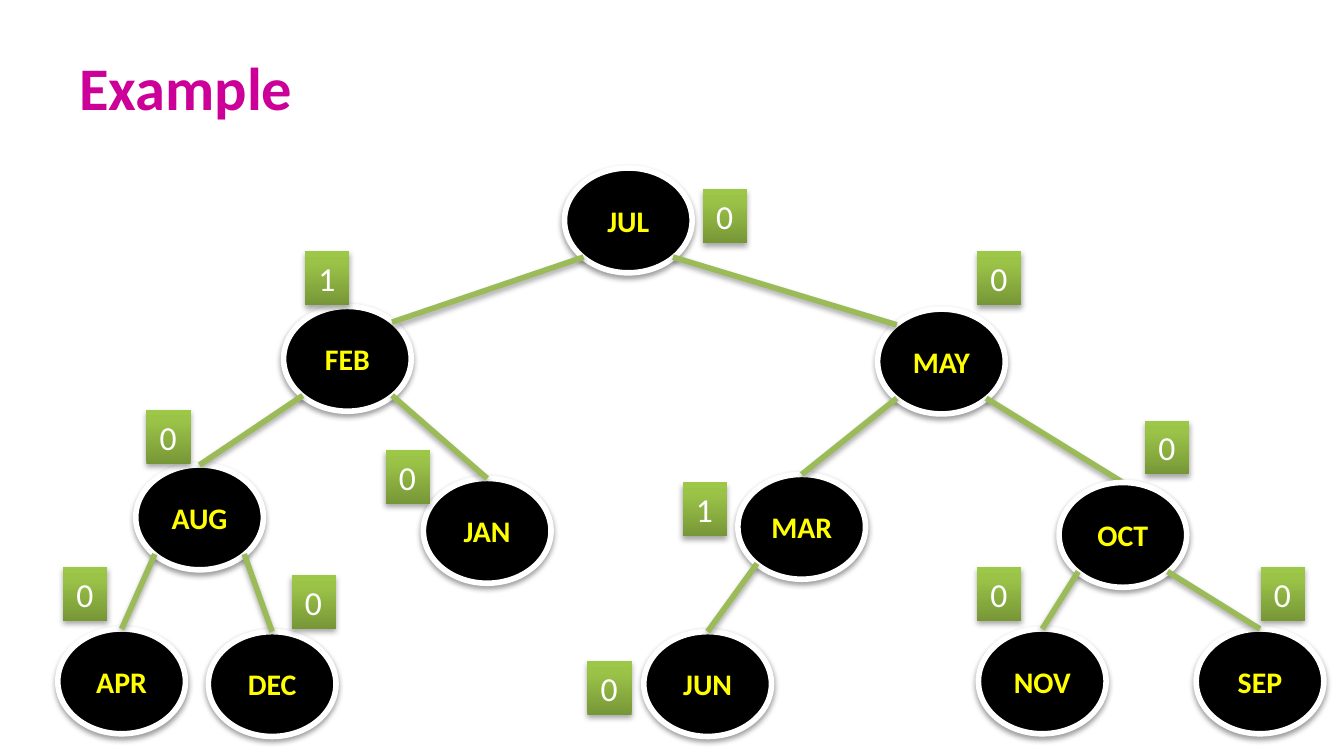
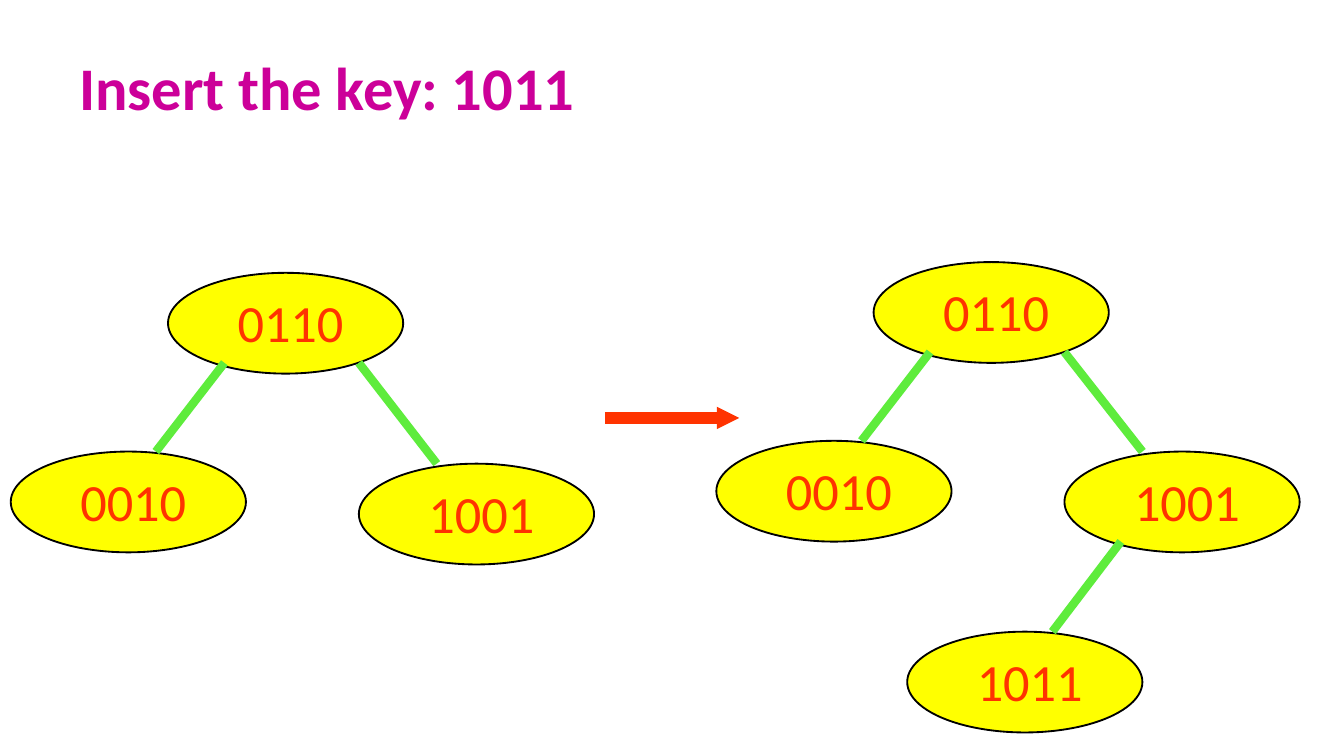
"""Build two slides on balanced search trees."""
from copy import deepcopy

from lxml import etree
from pptx import Presentation
from pptx.dml.color import RGBColor
from pptx.enum.shapes import MSO_CONNECTOR, MSO_SHAPE
from pptx.enum.text import MSO_ANCHOR, MSO_AUTO_SIZE, PP_ALIGN
from pptx.oxml.ns import qn
from pptx.util import Inches, Pt

LEFT, CENTER = PP_ALIGN.LEFT, PP_ALIGN.CENTER
TOP, MIDDLE = MSO_ANCHOR.TOP, MSO_ANCHOR.MIDDLE
FIXED, GROW = MSO_AUTO_SIZE.NONE, MSO_AUTO_SIZE.SHAPE_TO_FIT_TEXT
OVAL, RECT = MSO_SHAPE.OVAL, MSO_SHAPE.RECTANGLE
STRAIGHT = MSO_CONNECTOR.STRAIGHT

PINK = RGBColor(0xCC, 0x00, 0x99)
BLACK = RGBColor(0x00, 0x00, 0x00)
WHITE = RGBColor(0xFF, 0xFF, 0xFF)
YELLOW = RGBColor(0xFF, 0xFF, 0x00)
OLIVE = RGBColor(0x9B, 0xBB, 0x59)
GREEN = RGBColor(0x5E, 0xEC, 0x3C)
RED = RGBColor(0xFF, 0x33, 0x00)
FADE = [(0, RGBColor(0x77, 0x97, 0x37)), (0.8, RGBColor(0x9B, 0xC3, 0x48)),
        (1, RGBColor(0x9D, 0xC7, 0x46))]
FONT = "Calibri"
WIDTH = Inches(10)
HEIGHT = WIDTH * 9 // 16

MONTH_SIZE = (0.95, 0.78)
BACK = {"FEB": (2.11, 2.28), "MAY": (6.53, 2.3), "AUG": (1.01, 3.46),
        "JAN": (3.15, 3.56), "MAR": (5.49, 3.53), "APR": (0.43, 4.68),
        "DEC": (1.55, 4.7), "JUN": (4.79, 4.7)}
FRONT = {"OCT": (7.88, 3.59), "JUL": (4.2, 1.25), "NOV": (7.28, 4.68),
         "SEP": (8.9, 4.68)}
MONTHS = {**BACK, **FRONT}
ROOT = "JUL"
KIDS = {"FEB": ["AUG", "JAN"], "MAY": ["MAR", "OCT"], "AUG": ["APR", "DEC"],
        "JUL": ["FEB", "MAY"], "MAR": ["JUN"], "OCT": ["NOV", "SEP"]}
TAG_SIZE = (0.33, 0.4)
TAGS = [("0", 0.47, 4.22), ("0", 2.17, 4.28), ("0", 1.09, 3.05),
        ("0", 2.87, 3.35), ("1", 2.27, 1.87), ("0", 4.37, 4.92),
        ("1", 5.08, 3.59), ("0", 7.27, 4.22), ("0", 9.38, 4.22),
        ("0", 8.52, 3.13), ("0", 7.27, 1.87), ("0", 5.23, 1.41)]

KEY_SIZE = (1.75, 0.75)
BEFORE = {"1001": (2.67, 3.45), "0110": (1.25, 2.03), "0010": (0.08, 3.36)}
AFTER = {"1001": (7.92, 3.36), "0110": (6.5, 1.95), "0010": (5.33, 3.28),
         "1011": (6.75, 4.7)}
LINKS = [("0110", "0010"), ("0110", "1001"), ("1001", "1011")]


def write(frame, text, size=18, color=WHITE, bold=False, align=LEFT,
          anchor=TOP, wrap=False, fit=FIXED):
    """Fill a text frame with one formatted paragraph."""
    frame.text = text
    frame.word_wrap = wrap
    frame.auto_size = fit
    frame.vertical_anchor = anchor
    para = frame.paragraphs[0]
    para.alignment = align
    font = para.runs[0].font
    font.name, font.size, font.bold = FONT, Pt(size), bold
    font.color.rgb = color


def shade(item, alpha=0, dist=0):
    """Give an item a soft shadow below it, or none if alpha is 0."""
    props = item._element.spPr
    for old in props.findall(qn("a:effectLst")):
        props.remove(old)
    effects = etree.SubElement(props, qn("a:effectLst"))
    if alpha:
        drop = etree.SubElement(
            effects, qn("a:outerShdw"), blurRad=str(Pt(3.1)),
            dist=str(Pt(dist)), dir="5400000", rotWithShape="0")
        tone = etree.SubElement(drop, qn("a:srgbClr"), val=str(BLACK))
        etree.SubElement(tone, qn("a:alpha"), val=str(alpha * 1000))


def add_oval(slide, spot, size, fill, edge, width):
    """Add a filled and outlined ellipse."""
    oval = slide.shapes.add_shape(OVAL, *map(Inches, spot + size))
    oval.fill.solid()
    oval.fill.fore_color.rgb = fill
    oval.line.color.rgb = edge
    oval.line.width = Pt(width)
    shade(oval)
    return oval


def add_line(slide, start, end, color, width):
    """Add a straight line without a shadow."""
    line = slide.shapes.add_connector(STRAIGHT, *map(Inches, start + end))
    line.line.color.rgb = color
    line.line.width = Pt(width)
    shade(line)
    return line


def add_month(slide, name):
    """Add a month node."""
    oval = add_oval(slide, MONTHS[name], MONTH_SIZE, BLACK, WHITE, 3)
    shade(oval, 38, 1.6)
    write(oval.text_frame, name, size=16, color=YELLOW, bold=True,
          align=CENTER, anchor=MIDDLE)


def join_months(slide, top, low):
    """Link a month node to a child, root children at their upper corner."""
    (x, y), (kid_x, kid_y) = MONTHS[top], MONTHS[low]
    wide, high = MONTH_SIZE
    near, far = (0.15, 0.85) if kid_x < x else (0.85, 0.15)
    across, down = (far, 0.15) if top == ROOT else (0.5, 0)
    line = add_line(slide, (x + near * wide, y + 0.85 * high),
                    (kid_x + across * wide, kid_y + down * high), OLIVE, 3)
    shade(line, 35, 1.8)


def add_tag(slide, text, x, y):
    """Add a balance factor on a green gradient."""
    tag = slide.shapes.add_shape(RECT, *map(Inches, (x, y) + TAG_SIZE))
    tag.fill.gradient()
    tag.fill.gradient_angle = 90
    stops = tag._element.spPr.find(".//" + qn("a:gsLst"))
    stops.append(deepcopy(stops[0]))
    for stop, (place, color) in zip(tag.fill.gradient_stops, FADE):
        stop.position = place
        stop.color.rgb = color
    tag.line.fill.background()
    shade(tag, 35, 1.8)
    write(tag.text_frame, text, fit=GROW)


def draw_keys(slide, keys):
    """Draw a tree of binary keys."""
    for key, (x, y) in keys.items():
        add_oval(slide, (x, y), KEY_SIZE, YELLOW, BLACK, 1)
        box = slide.shapes.add_textbox(
            *map(Inches, (x + 0.42, y + 0.08, 1.17, 0.57)))
        write(box.text_frame, key, size=28, color=RED, wrap=True, fit=GROW)
    for top, low in LINKS:
        if low in keys:
            (x, y), (kid_x, kid_y) = keys[top], keys[low]
            leave, reach = (0.42, 1.08) if kid_x < x else (1.42, 0.58)
            add_line(slide, (x + leave, y + 0.67), (kid_x + reach, kid_y),
                     GREEN, 4.5)


def add_slide(deck, text):
    """Add a slide with the shared title style."""
    slide = deck.slides.add_slide(deck.slide_layouts[5])
    title = slide.shapes.title
    title.left, title.top = Inches(0.49), Inches(0.31)
    title.width, title.height = Inches(9.02), Inches(0.67)
    write(title.text_frame, text, size=32.4, color=PINK, bold=True,
          anchor=MIDDLE, wrap=True)
    return slide


def main():
    """Build and save the deck."""
    deck = Presentation()
    deck.slide_width, deck.slide_height = WIDTH, HEIGHT

    slide = add_slide(deck, "Example")
    for layer in (BACK, FRONT):
        for name in layer:
            add_month(slide, name)
        for top in layer:
            for low in KIDS.get(top, []):
                join_months(slide, top, low)
    for tag in TAGS:
        add_tag(slide, *tag)

    slide = add_slide(deck, "Insert the key: 1011")
    arrow = add_line(slide, (4.5, 3.11), (5.5, 3.11), RED, 6)
    etree.SubElement(arrow.line._get_or_add_ln(), qn("a:tailEnd"),
                     type="triangle", w="sm", len="sm")
    for keys in (BEFORE, AFTER):
        draw_keys(slide, keys)

    deck.save("out.pptx")


if __name__ == "__main__":
    main()
